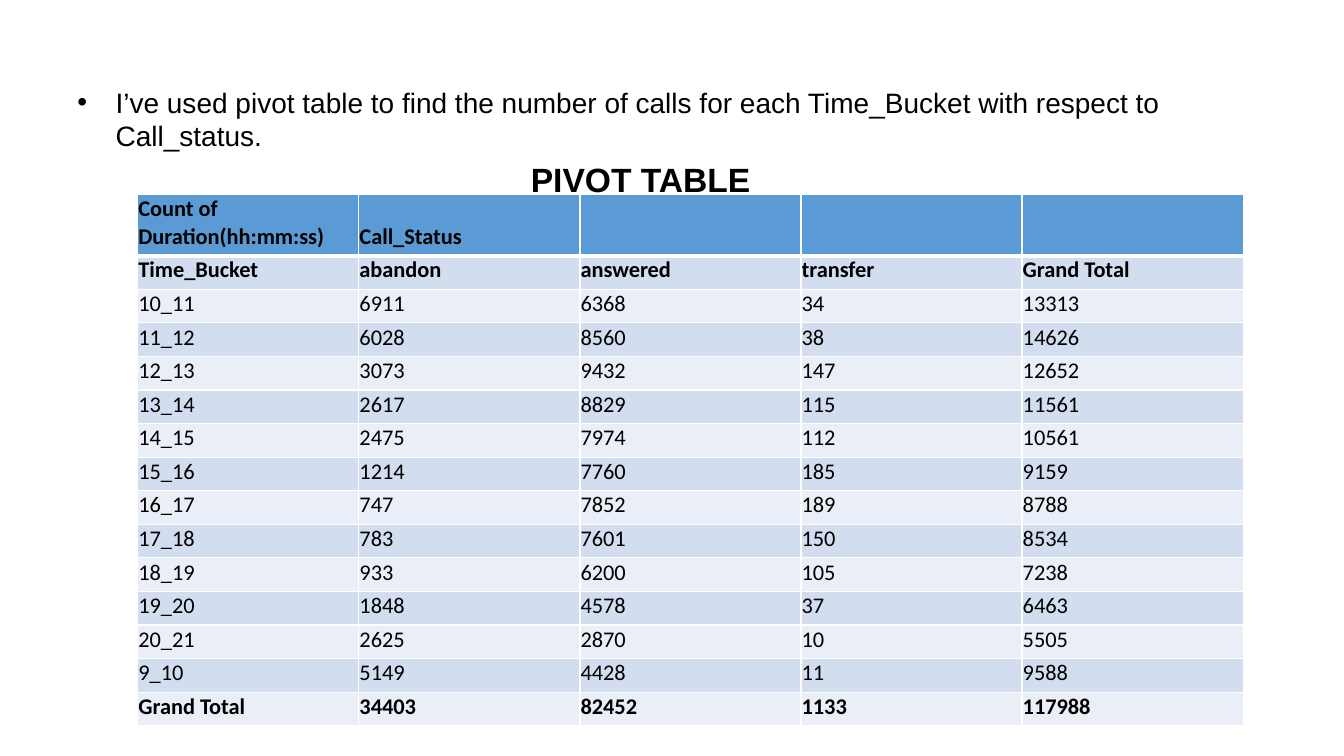
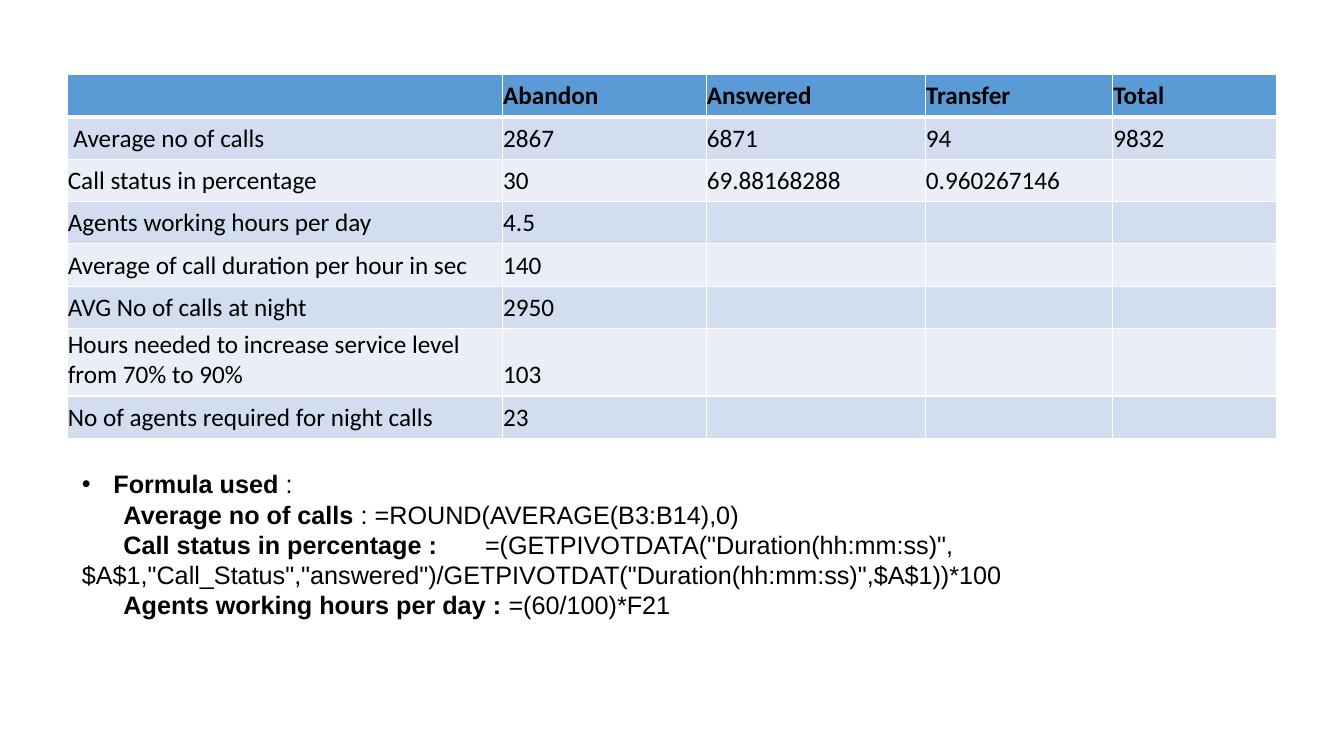
from dataclasses import dataclass

from lxml.etree import SubElement
from pptx import Presentation
from pptx.dml.color import RGBColor as Rgb
from pptx.enum.text import MSO_ANCHOR as Anchor, MSO_AUTO_SIZE as AutoSize
from pptx.oxml.ns import qn
from pptx.util import Emu, Pt

EMU_PER_PX = 6096


@dataclass(frozen=True)
class Theme:
    ink: str = "000000"
    header: str = "5B9BD5"
    bands: tuple[str, str] = ("EAEFF7", "D2DEEF")
    border: str = "FFFFFF"
    thin: int = 1
    thick: int = 3
    text_font: str = "Arial"
    table_font: str = "Calibri"
    heading: int = 24
    body: int = 20
    formula: int = 18
    pivot: int = 16
    summary: int = 18


@dataclass(frozen=True)
class Box:
    x: int
    y: int
    w: int
    h: int


@dataclass(frozen=True)
class Run:
    text: str
    bold: bool = False


@dataclass(frozen=True)
class Para:
    runs: tuple[Run, ...]
    size: int
    margin: int = 0
    indent: int = 0
    level: int = 0
    bullet: bool = False


@dataclass(frozen=True)
class Grid:
    x: int
    y: int
    cols: tuple[int, ...]
    heights: tuple[int, ...]
    size: int
    rows: tuple[tuple[str, ...], ...]
    bold_rows: tuple[int, ...]


THEME = Theme()

NOTE_BOX = Box(100, 119, 1800, 887)
NOTE = (
    Para(
        (Run("I’ve used pivot table to find the number of calls for each Time_Bucket with respect to Call_status."),),
        THEME.body, margin=57, indent=-57, bullet=True,
    ),
    Para((Run("PIVOT TABLE", True),), THEME.heading, margin=600, indent=75, level=8),
)

PIVOT_ROWS = (
    ("Count of Duration(hh:mm:ss)", "Call_Status", "", "", ""),
    ("Time_Bucket", "abandon", "answered", "transfer", "Grand Total"),
    ("10_11", "6911", "6368", "34", "13313"),
    ("11_12", "6028", "8560", "38", "14626"),
    ("12_13", "3073", "9432", "147", "12652"),
    ("13_14", "2617", "8829", "115", "11561"),
    ("14_15", "2475", "7974", "112", "10561"),
    ("15_16", "1214", "7760", "185", "9159"),
    ("16_17", "747", "7852", "189", "8788"),
    ("17_18", "783", "7601", "150", "8534"),
    ("18_19", "933", "6200", "105", "7238"),
    ("19_20", "1848", "4578", "37", "6463"),
    ("20_21", "2625", "2870", "10", "5505"),
    ("9_10", "5149", "4428", "11", "9588"),
    ("Grand Total", "34403", "82452", "1133", "117988"),
)
PIVOT = Grid(
    205, 290, (329,) * 5, (90,) + (50,) * (len(PIVOT_ROWS) - 1),
    THEME.pivot, PIVOT_ROWS, (0, 1, len(PIVOT_ROWS) - 1),
)

SUMMARY_ROWS = (
    ("", "Abandon", "Answered", "Transfer", "Total"),
    (" Average no of calls", "2867", "6871", "94", "9832"),
    ("Call status in percentage", "30", "69.88168288", "0.960267146", ""),
    ("Agents working hours per day", "4.5", "", "", ""),
    ("Average of call duration per hour in sec", "140", "", "", ""),
    ("AVG No of calls at night", "2950", "", "", ""),
    ("Hours needed to increase service level from 70% to 90%", "103", "", "", ""),
    ("No of agents required for night calls", "23", "", "", ""),
)
SUMMARY = Grid(
    100, 111, (648, 303, 326, 279, 244), (63,) * len(SUMMARY_ROWS),
    THEME.summary, SUMMARY_ROWS, (0,),
)

FORMULA_BOX = Box(107, 690, 1833, 296)
FORMULAS = (
    ("Average no of calls ", ": =ROUND(AVERAGE(B3:B14),0)"),
    (
        "Call status in percentage : ",
        '\t=(GETPIVOTDATA("Duration(hh:mm:ss)",$A$1,"Call_Status","answered")'
        '/GETPIVOTDAT("Duration(hh:mm:ss)",$A$1))*100',
    ),
    ("Agents working hours per day :", " =(60/100)*F21"),
)
FORMULA_TEXT = (
    Para((Run("Formula used", True), Run(" :")), THEME.formula, margin=47, indent=-47, bullet=True),
    *(Para((Run(name, True), Run(formula)), THEME.formula, indent=62) for name, formula in FORMULAS),
)


def px(n: int) -> Emu:
    return Emu(n * EMU_PER_PX)


def set_attrs(target, values: dict) -> None:
    for name, value in values.items():
        setattr(target, name, value)


def add_run(p, run: Run, size: int, font: str) -> None:
    r = p.add_run()
    r.text = run.text
    set_attrs(r.font, {"name": font, "size": Pt(size), "bold": run.bold})
    r.font.color.rgb = Rgb.from_string(THEME.ink)


def write_text(sp, box: Box, paras: tuple[Para, ...]) -> None:
    set_attrs(sp, {"left": px(box.x), "top": px(box.y), "width": px(box.w), "height": px(box.h)})
    tf = sp.text_frame
    set_attrs(tf, {"word_wrap": True, "auto_size": AutoSize.NONE, "vertical_anchor": Anchor.TOP})
    for i, para in enumerate(paras):
        p = tf.paragraphs[0] if i == 0 else tf.add_paragraph()
        p.level = para.level
        props = p._p.get_or_add_pPr()
        props.set("marL", str(px(para.margin)))
        props.set("indent", str(px(para.indent)))
        if para.bullet:
            SubElement(props, qn("a:buFont"), typeface=THEME.text_font)
            SubElement(props, qn("a:buChar"), char="•")
        else:
            SubElement(props, qn("a:buNone"))
        for run in para.runs:
            add_run(p, run, para.size, THEME.text_font)


def set_borders(cell, widths: dict[str, int]) -> None:
    props = cell._tc.get_or_add_tcPr()
    for i, (side, width) in enumerate(widths.items()):
        line = SubElement(props, qn(f"a:{side}"), w=str(Pt(width)))
        fill = SubElement(line, qn("a:solidFill"))
        SubElement(fill, qn("a:srgbClr"), val=THEME.border)
        props.insert(i, line)


def add_grid(s, grid: Grid) -> None:
    frame = s.shapes.add_table(
        len(grid.rows), len(grid.cols), px(grid.x), px(grid.y), px(sum(grid.cols)), px(sum(grid.heights))
    )
    table = frame.table
    for col, width in zip(table.columns, grid.cols):
        col.width = px(width)
    for row, height in zip(table.rows, grid.heights):
        row.height = px(height)
    for i, values in enumerate(grid.rows):
        color = THEME.bands[i % 2] if i else THEME.header
        borders = {
            "lnL": THEME.thin,
            "lnR": THEME.thin,
            "lnT": THEME.thick if i == 1 else THEME.thin,
            "lnB": THEME.thick if i == 0 else THEME.thin,
        }
        for j, value in enumerate(values):
            cell = table.cell(i, j)
            set_attrs(cell, {
                "margin_left": px(1), "margin_top": px(1), "margin_right": px(1),
                "margin_bottom": px(8), "vertical_anchor": Anchor.BOTTOM,
            })
            cell.fill.solid()
            cell.fill.fore_color.rgb = Rgb.from_string(color)
            set_borders(cell, borders)
            if value:
                add_run(cell.text_frame.paragraphs[0], Run(value, i in grid.bold_rows), grid.size, THEME.table_font)


def build_pivot_slide(prs) -> None:
    s = prs.slides.add_slide(prs.slide_layouts[1])
    title = s.shapes.title
    title.element.getparent().remove(title.element)
    write_text(s.placeholders[1], NOTE_BOX, NOTE)
    add_grid(s, PIVOT)


def build_summary_slide(prs) -> None:
    s = prs.slides.add_slide(prs.slide_layouts[6])
    add_grid(s, SUMMARY)
    box = FORMULA_BOX
    sp = s.shapes.add_textbox(px(box.x), px(box.y), px(box.w), px(box.h))
    write_text(sp, box, FORMULA_TEXT)


def main() -> None:
    prs = Presentation()
    set_attrs(prs, {"slide_width": px(2000), "slide_height": px(1125)})
    build_pivot_slide(prs)
    build_summary_slide(prs)
    prs.save("out.pptx")


if __name__ == "__main__":
    main()
